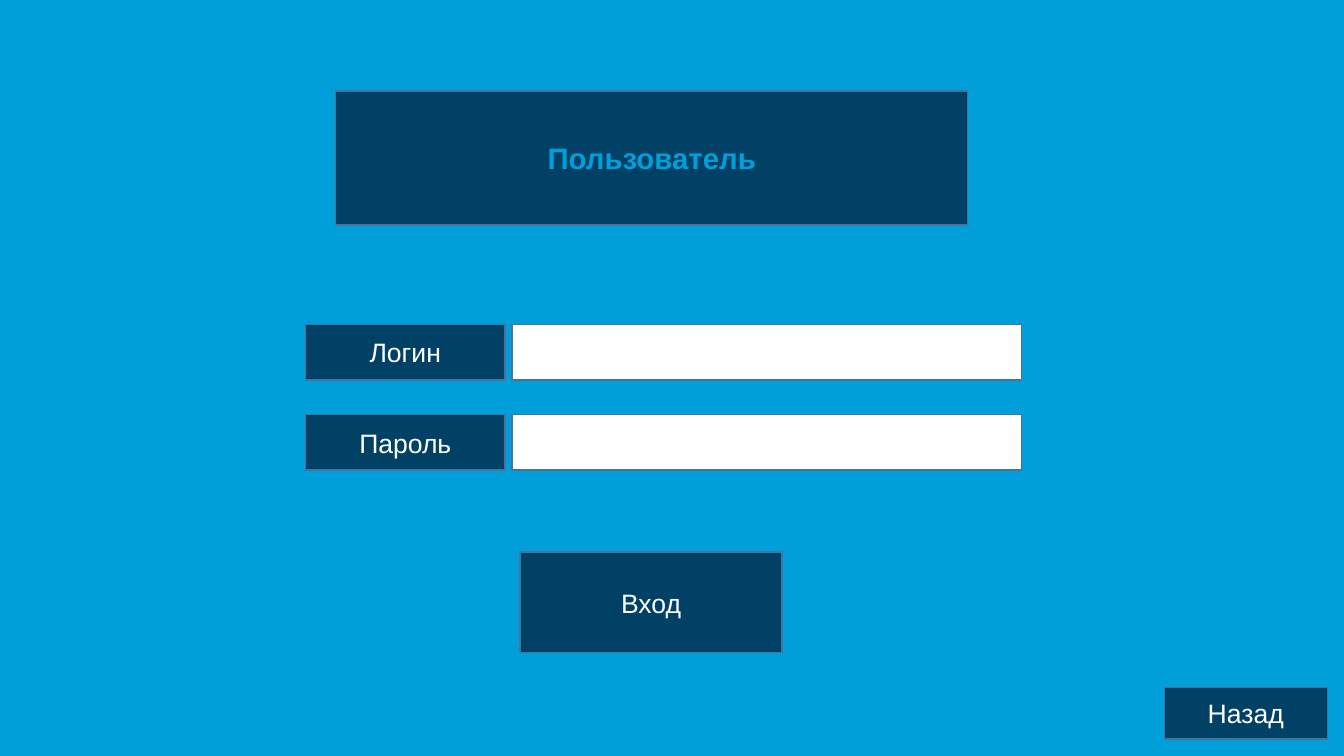
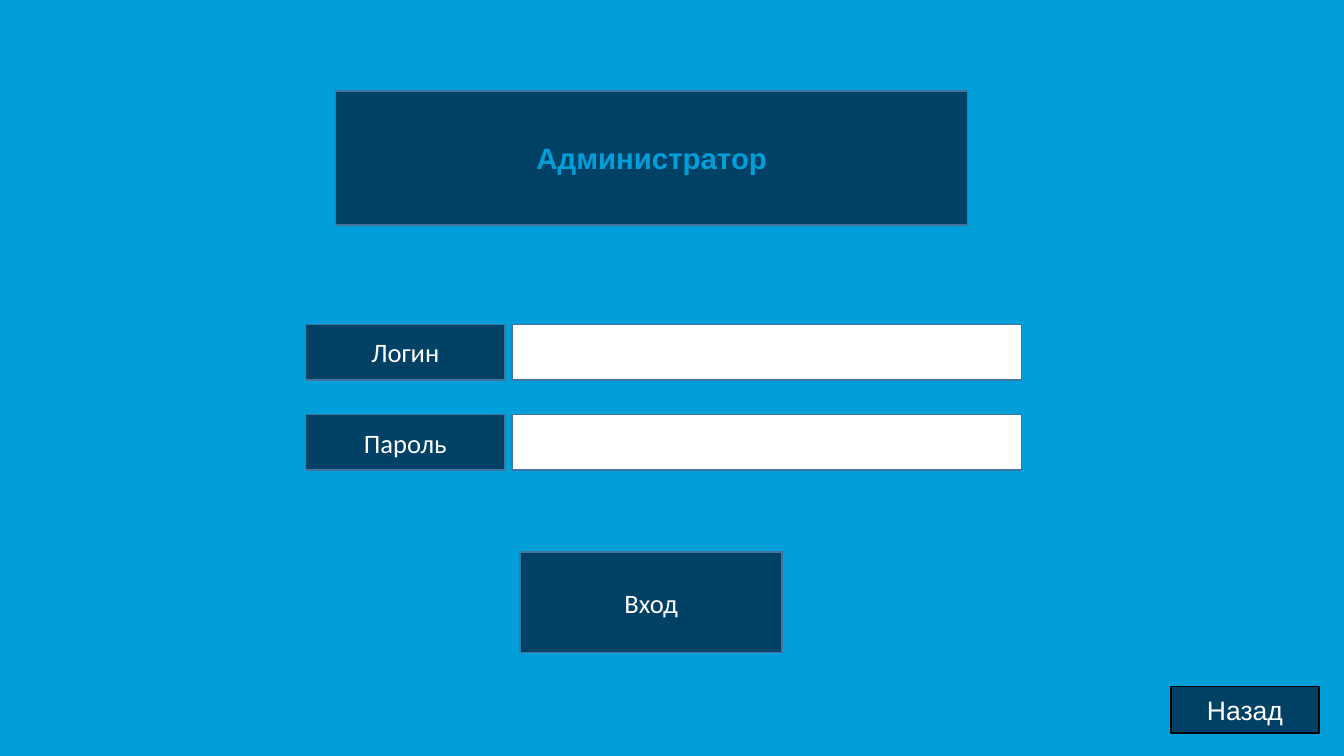
from pptx import Presentation
from pptx import util as u
from pptx.dml import color
from pptx.enum import shapes, text

# Shared look
SKY, NAVY, WHITE, BLACK, EDGE = "009FDA", "004165", "FFFFFF", "000000", "43739E"
TITLE_FONT = {"name": "Arial", "size": u.Pt(21), "bold": True}
BUTTON_FONT = {"name": "Arial", "size": u.Pt(19), "bold": False}

# Shared layout, in centimetres: left, top, width, height
TITLE_BOX = (8.46, 2.29, 15.93, 3.38)
FIELD_NAMES = ("Логин", "Пароль")
FIELD_TOP, FIELD_STEP, FIELD_HEIGHT = 8.18, 2.27, 1.4
LABEL_LEFT, LABEL_WIDTH = 7.7, 5.03
INPUT_LEFT, INPUT_WIDTH = 12.9, 12.85
ENTER_BOX = (13.11, 13.91, 6.6, 2.54)


def rgb(value):
    return color.RGBColor.from_string(value)


def add_box(slide, box, fill=NAVY, edge=EDGE):
    shape = slide.shapes.add_shape(
        shapes.MSO_SHAPE.RECTANGLE, *(u.Cm(length) for length in box))
    shape.shadow.inherit = False
    shape.fill.solid()
    shape.fill.fore_color.rgb = rgb(fill)
    shape.line.color.rgb = rgb(edge)
    shape.line.width = u.Pt(1)
    return shape


def add_caption(slide, box, caption, font_format, font_color=WHITE, edge=EDGE):
    shape = add_box(slide, box, edge=edge)
    shape.text_frame.vertical_anchor = text.MSO_ANCHOR.MIDDLE
    paragraph = shape.text_frame.paragraphs[0]
    paragraph.alignment = text.PP_ALIGN.CENTER
    run = paragraph.add_run()
    run.text = caption
    for name, value in font_format.items():
        setattr(run.font, name, value)
    run.font.color.rgb = rgb(font_color)


def add_fields(slide, font_format):
    for row, name in enumerate(FIELD_NAMES):
        top = FIELD_TOP + row * FIELD_STEP
        add_caption(slide, (LABEL_LEFT, top, LABEL_WIDTH, FIELD_HEIGHT),
                    name, font_format)
        add_box(slide, (INPUT_LEFT, top, INPUT_WIDTH, FIELD_HEIGHT), fill=WHITE)


def add_login_slide(presentation, title, form_font, back_box, back_edge):
    slide = presentation.slides.add_slide(presentation.slide_layouts[6])
    slide.background.fill.solid()
    slide.background.fill.fore_color.rgb = rgb(SKY)
    form_format = {**BUTTON_FONT, "name": form_font}

    # Title and form
    add_caption(slide, TITLE_BOX, title, TITLE_FONT, font_color=SKY)
    add_fields(slide, form_format)

    # Buttons
    add_caption(slide, ENTER_BOX, "Вход", form_format)
    add_caption(slide, back_box, "Назад", BUTTON_FONT, edge=back_edge)


def main():
    presentation = Presentation()
    presentation.slide_width = u.Cm(33.87)
    presentation.slide_height = u.Cm(19.05)
    add_login_slide(presentation, "Пользователь", "Arial",
                    (29.34, 17.32, 4.11, 1.3), EDGE)
    add_login_slide(presentation, "Администратор", "Calibri",
                    (29.51, 17.3, 3.73, 1.17), BLACK)
    presentation.save("out.pptx")


if __name__ == "__main__":
    main()
